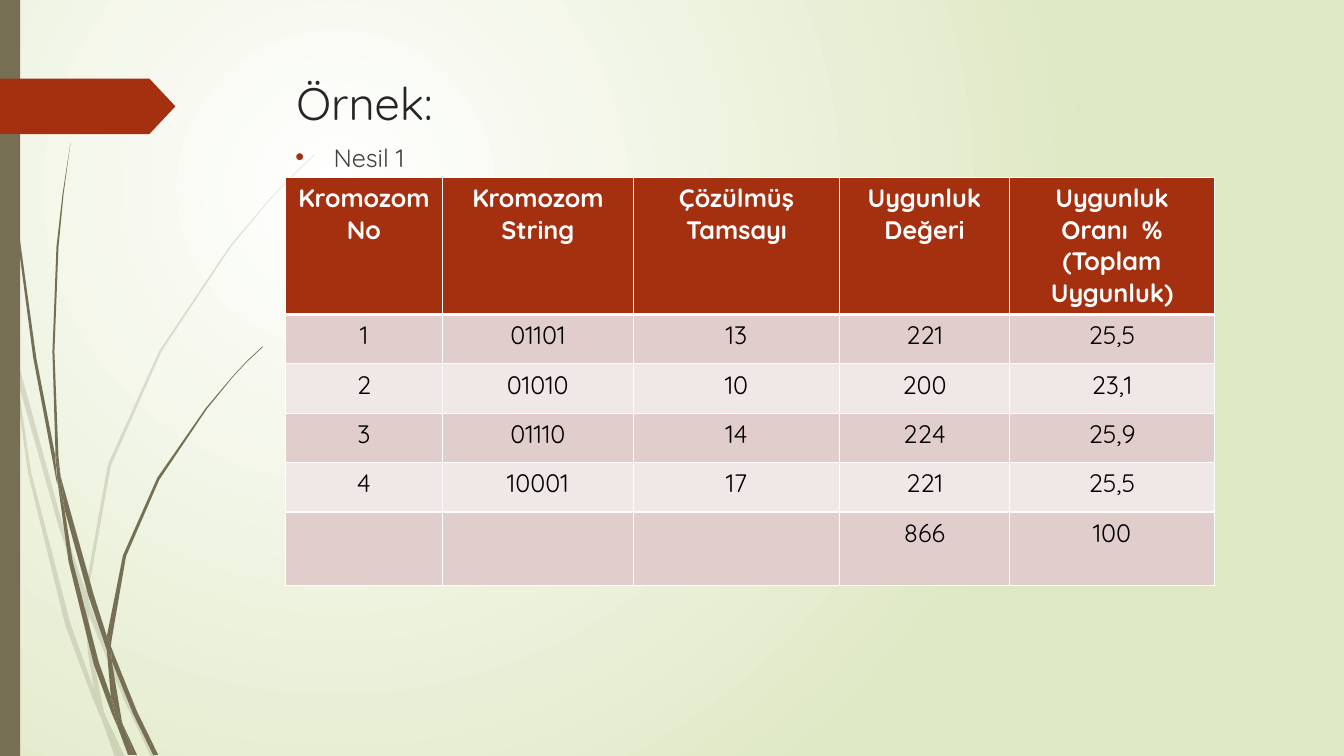
from dataclasses import dataclass

from lxml import etree
from pptx import Presentation
from pptx.dml.color import RGBColor
from pptx.enum.shapes import MSO_SHAPE
from pptx.enum.text import MSO_ANCHOR, PP_ALIGN
from pptx.oxml import parse_xml
from pptx.oxml.ns import nsdecls, qn
from pptx.util import Pt

RECTANGLE = MSO_SHAPE.RECTANGLE
PENTAGON = MSO_SHAPE.PENTAGON
TOP, MIDDLE = MSO_ANCHOR.TOP, MSO_ANCHOR.MIDDLE
LEFT, CENTER, JUSTIFY = PP_ALIGN.LEFT, PP_ALIGN.CENTER, PP_ALIGN.JUSTIFY

EMU_PER_PX = 9144
SLIDE_BOX = (0, 0, 1333, 750)
TITLE_BOX = (284, 68, 975, 68)
BODY_BOX = (283, 136, 975, 509)
TABLE_BOX = (283, 176, 922, 405)


@dataclass(frozen=True)
class Theme:
    font: str = "Quicksand"
    title_size: float = 32.4
    text_size: float = 18
    accent: str = "A53010"
    stem: str = "766F54"
    title: str = "262626"
    body: str = "404040"
    white: str = "FFFFFF"
    black: str = "000000"
    backdrop: str = "DFE8C4"
    bands: tuple = ("E1CDCC", "F0E8E7")


THEME = Theme()

FADED_BLADES = [
    [(11, 350), (9, 322), (0, 282), (0, 299), (10, 344)],
    [(58, 522), (84, 599), (85, 586), (62, 520), (14, 345), (17, 376)],
    [(92, 607), (88, 596), (88, 610), (123, 694), (150, 751), (155, 751), (127, 692)],
    [(119, 751), (124, 751), (105, 711)],
    [(93, 683), (70, 619), (31, 469), (17, 376), (11, 350), (28, 470), (65, 621),
     (92, 693), (101, 714), (99, 707)],
    [(84, 599), (87, 646), (93, 683), (96, 692), (105, 711), (103, 706), (91, 646),
     (88, 610), (88, 608)],
    [(88, 584), (110, 462), (160, 349), (229, 245), (268, 198), (290, 175), (312, 154),
     (312, 153), (289, 175), (268, 197), (228, 244), (158, 348), (107, 461), (85, 584),
     (85, 586), (88, 596)],
    [(101, 714), (114, 751), (119, 751)],
    [(88, 608), (88, 610), (88, 596), (85, 586), (84, 599)],
    [(96, 692), (93, 683), (99, 707), (101, 714), (119, 751), (105, 711)],
]
SOLID_BLADES = [
    [(7, 110), (17, 233), (33, 355), (56, 477), (57, 481), (55, 457), (55, 453),
     (36, 355), (19, 232), (8, 109), (5, 48), (4, 0), (3, 0), (4, 48)],
    [(88, 592), (106, 645), (106, 633), (106, 631), (93, 590), (60, 472), (64, 505)],
    [(113, 649), (110, 641), (111, 656), (132, 708), (152, 749), (157, 749), (136, 706)],
    [(110, 691), (98, 657), (72, 556), (64, 505), (57, 477), (68, 557), (93, 659),
     (111, 708), (117, 722), (116, 717)],
    [(60, 472), (58, 453), (54, 349), (58, 245), (63, 193), (70, 141), (62, 193),
     (56, 245), (52, 349), (55, 449)],
    [(133, 749), (136, 749), (122, 719)],
    [(57, 477), (64, 505), (60, 472), (55, 449), (55, 453)],
    [(111, 633), (125, 552), (158, 476), (205, 406), (231, 374), (245, 359), (261, 344),
     (260, 344), (245, 358), (231, 373), (204, 405), (156, 474), (122, 551), (106, 631),
     (110, 641)],
    [(117, 722), (127, 749), (131, 749)],
    [(106, 645), (110, 691), (116, 706), (122, 719), (121, 716), (111, 656), (109, 651)],
    [(106, 645), (109, 651), (111, 656), (110, 641), (106, 631), (106, 633)],
    [(116, 706), (110, 691), (116, 717), (117, 722), (130, 749), (133, 749), (122, 719)],
]

COLUMN_WIDTHS = [156, 189, 205, 168, 204]
ROW_HEIGHTS = [136, 49, 49, 49, 49, 73]
TABLE_ROWS = [
    ["Kromozom No", "Kromozom String", "Çözülmüş Tamsayı", "Uygunluk Değeri",
     "Uygunluk Oranı  % (Toplam Uygunluk)"],
    ["1", "01101", "13", "221", "25,5"],
    ["2", "01010", "10", "200", "23,1"],
    ["3", "01110", "14", "224", "25,9"],
    ["4", "10001", "17", "221", "25,5"],
    ["", "", "", "866", "100"],
]


def px(length):
    return round(length * EMU_PER_PX)


def scaled(box):
    return [px(length) for length in box]


def color(value):
    return RGBColor.from_string(value)


def paint(shape, fill):
    shape.shadow.inherit = False
    shape.fill.solid()
    shape.fill.fore_color.rgb = color(fill)
    shape.line.fill.background()


def format_paragraph(paragraph, alignment, size, ink, bold=False):
    paragraph.alignment = alignment
    font_format = {"name": THEME.font, "size": Pt(size), "bold": bold}
    for name, value in font_format.items():
        setattr(paragraph.font, name, value)
    paragraph.font.color.rgb = color(ink)


def add_background(slide):
    slide.element.cSld.insert(0, parse_xml(
        f'<p:bg {nsdecls("p", "a")}><p:bgPr><a:gradFill rotWithShape="1"><a:gsLst>'
        f'<a:gs pos="0"><a:srgbClr val="{THEME.white}"/></a:gs>'
        f'<a:gs pos="100000"><a:srgbClr val="{THEME.backdrop}"/></a:gs></a:gsLst>'
        '<a:path path="circle"><a:fillToRect l="50000" t="50000" r="100000" b="100000"/>'
        '</a:path></a:gradFill><a:effectLst/></p:bgPr></p:bg>'))


def add_blade(slide, box, outline, opacity):
    left, top = box[:2]
    points = [scaled((left + x, top + y)) for x, y in outline]
    builder = slide.shapes.build_freeform(*points[0], scale=1.0)
    builder.add_line_segments(points[1:], close=True)
    shape = builder.convert_to_shape()
    paint(shape, THEME.stem)
    if opacity < 100:
        fill_color = next(shape.element.spPr.iter(qn("a:srgbClr")))
        etree.SubElement(fill_color, qn("a:alpha"), val=str(opacity * 1000))


def add_decoration(slide, box):
    left, top, _, height = box
    for blades, opacity in ((FADED_BLADES, 20), (SOLID_BLADES, 100)):
        for outline in blades:
            add_blade(slide, box, outline, opacity)
    side_bar = slide.shapes.add_shape(RECTANGLE, *scaled((left, top, 20, height)))
    paint(side_bar, THEME.stem)
    arrow = slide.shapes.add_shape(PENTAGON, *scaled((left, top + 78, 174, 55)))
    arrow.adjustments[0] = 0.47
    paint(arrow, THEME.accent)


def add_text(slide, box, text, anchor):
    frame = slide.shapes.add_textbox(*scaled(box)).text_frame
    frame.word_wrap = True
    frame.vertical_anchor = anchor
    paragraph = frame.paragraphs[0]
    paragraph.text = text
    return paragraph


def add_title(slide, box):
    paragraph = add_text(slide, box, "Örnek:", MIDDLE)
    format_paragraph(paragraph, LEFT, THEME.title_size, THEME.title)


def add_body(slide, box):
    paragraph = add_text(slide, box, "Nesil 1", TOP)
    properties = paragraph._p.get_or_add_pPr()
    properties.set("marL", str(px(38)))
    properties.set("indent", str(-px(38)))
    bullet_color = etree.SubElement(properties, qn("a:buClr"))
    etree.SubElement(bullet_color, qn("a:srgbClr"), val=THEME.accent)
    etree.SubElement(properties, qn("a:buFont"), typeface="Arial")
    etree.SubElement(properties, qn("a:buChar"), char="•")
    format_paragraph(paragraph, JUSTIFY, THEME.text_size, THEME.body)


def set_borders(cell, row_index):
    properties = cell._tc.get_or_add_tcPr()
    widths = {"L": 1, "R": 1, "T": 3 if row_index == 1 else 1,
              "B": 3 if row_index == 0 else 1}
    for position, (side, width) in enumerate(widths.items()):
        properties.insert(position, parse_xml(
            f'<a:ln{side} {nsdecls("a")} w="{Pt(width)}"><a:solidFill>'
            f'<a:srgbClr val="{THEME.white}"/></a:solidFill></a:ln{side}>'))


def add_chromosome_table(slide, box):
    table = slide.shapes.add_table(
        len(ROW_HEIGHTS), len(COLUMN_WIDTHS), *scaled(box)).table
    for column, width in zip(table.columns, COLUMN_WIDTHS):
        column.width = px(width)
    for row_index, texts in enumerate(TABLE_ROWS):
        header = row_index == 0
        table.rows[row_index].height = px(ROW_HEIGHTS[row_index])
        fill = THEME.accent if header else THEME.bands[(row_index - 1) % 2]
        ink = THEME.white if header else THEME.black
        for cell, text in zip(table.rows[row_index].cells, texts):
            cell.fill.solid()
            cell.fill.fore_color.rgb = color(fill)
            set_borders(cell, row_index)
            cell.text = text
            format_paragraph(cell.text_frame.paragraphs[0], CENTER,
                             THEME.text_size, ink, header)


def main():
    presentation = Presentation()
    presentation.slide_width, presentation.slide_height = scaled(SLIDE_BOX[2:])
    slide = presentation.slides.add_slide(presentation.slide_layouts[6])
    add_background(slide)
    add_decoration(slide, SLIDE_BOX)
    add_title(slide, TITLE_BOX)
    add_body(slide, BODY_BOX)
    add_chromosome_table(slide, TABLE_BOX)
    presentation.save("out.pptx")


if __name__ == "__main__":
    main()
